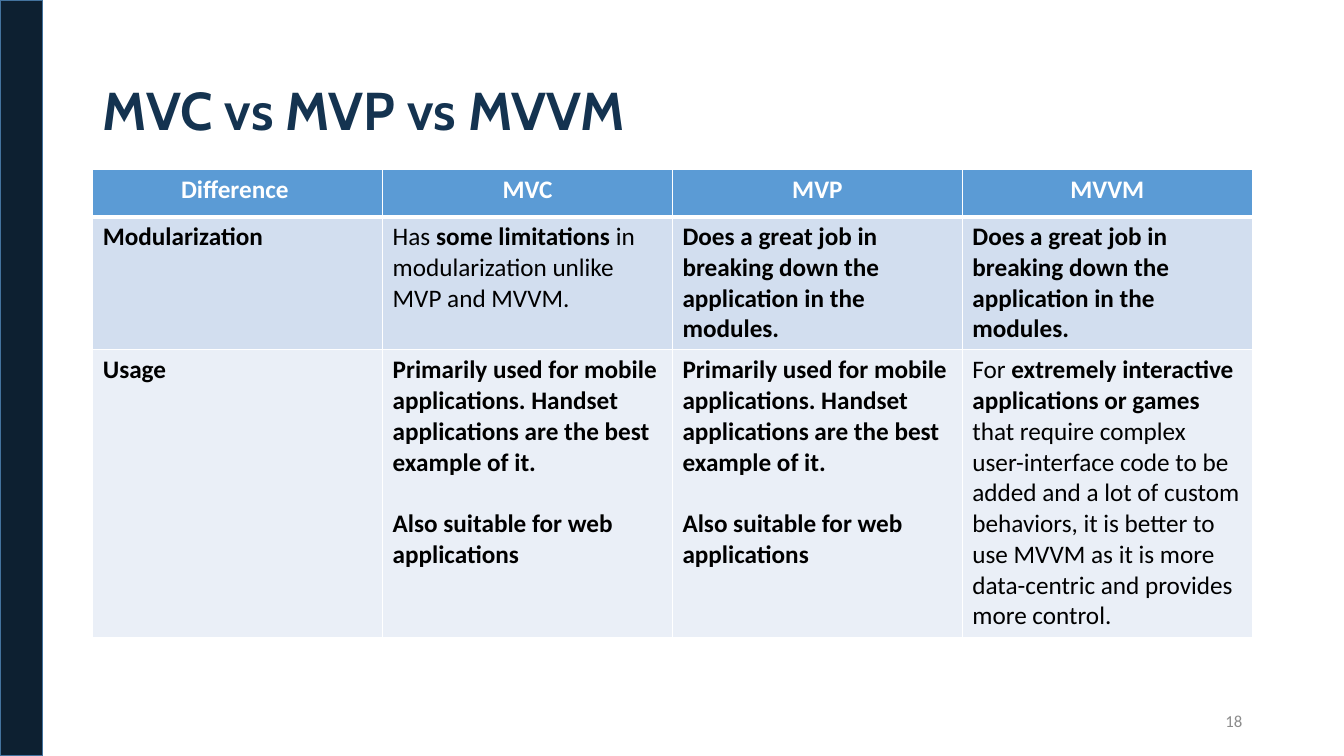
"""Build the slide that compares MVC, MVP and MVVM in a table."""
from lxml import etree
from pptx import Presentation, util as u
from pptx.dml.color import RGBColor
from pptx.enum import shapes, text
from pptx.oxml.ns import qn

THEME = {
    "bar": "0D2031", "bar_line": "43739E", "title": "143350", "number": "8C8C8C",
    "header": "5B9BD5", "bands": ["D2DEEF", "EAEFF7"], "white": "FFFFFF", "black": "000000",
    "title_size": 38, "table_size": 18, "number_size": 12,
    "title_font": "Cabin", "body_font": "Calibri",
}


def add_span(para, words, size, color, font=THEME["body_font"], bold=False):
    span = para.add_run()
    span.text = words
    for name, value in {"name": font, "size": u.Pt(size), "bold": bold}.items():
        setattr(span.font, name, value)
    span.font.color.rgb = RGBColor.from_string(color)


def add_borders(cell, widths):
    properties = cell._tc.get_or_add_tcPr()
    for side, width in widths.items():
        line = etree.SubElement(properties, qn(f"a:ln{side}"), w=str(u.Pt(width)))
        fill = etree.SubElement(line, qn("a:solidFill"))
        etree.SubElement(fill, qn("a:srgbClr"), val=THEME["white"])


deck = Presentation()
deck.slide_width, deck.slide_height = u.Inches(13.33), u.Inches(7.5)
page = deck.slides.add_slide(deck.slide_layouts[5])

bar = page.shapes.add_shape(shapes.MSO_SHAPE.RECTANGLE, 0, 0, u.Inches(0.42), deck.slide_height)
bar.shadow.inherit = False
bar.fill.solid()
bar.fill.fore_color.rgb = RGBColor.from_string(THEME["bar"])
bar.line.color.rgb = RGBColor.from_string(THEME["bar_line"])
bar.line.width = u.Pt(1)

title = page.shapes.title
for name, value in {"left": 0.92, "top": 0.4, "width": 11.5, "height": 1.45}.items():
    setattr(title, name, u.Inches(value))
number = page.shapes.add_textbox(u.Inches(9.42), u.Inches(6.95), u.Inches(3), u.Inches(0.4))
for box in (title, number):
    frame_format = {"word_wrap": True, "auto_size": text.MSO_AUTO_SIZE.NONE,
                    "vertical_anchor": text.MSO_ANCHOR.MIDDLE}
    for name, value in frame_format.items():
        setattr(box.text_frame, name, value)

para = title.text_frame.paragraphs[0]
para.alignment, para.line_spacing = text.PP_ALIGN.LEFT, 0.9
add_span(para, "MVC vs MVP vs MVVM", THEME["title_size"], THEME["title"], THEME["title_font"], True)
para = number.text_frame.paragraphs[0]
para.alignment = text.PP_ALIGN.RIGHT
add_span(para, "18", THEME["number_size"], THEME["number"])

# Each cell lists paragraphs; each paragraph lists (words, bold) spans.
modular = [[("Does a great job in breaking down the application in the modules.", True)]]
mobile = [
    [("Primarily used for mobile applications. Handset applications are the best example of it.", True)],
    [("Also suitable for web applications", True)],
]
limits = [[("Has ", False), ("some limitations ", True),
           ("in modularization unlike MVP and MVVM.", False)]]
interactive = [[
    ("For ", False),
    ("extremely interactive applications or games ", True),
    ("that require complex user-interface code to be added and a lot of custom behaviors, "
     "it is better to use MVVM as it is more data-centric and provides more control.", False),
]]
rows = [
    [[[(heading, True)]] for heading in ("Difference ", "MVC", "MVP", "MVVM")],
    [[[("Modularization", True)]], limits, modular, modular],
    [[[("Usage", True)]], mobile, mobile, interactive],
]
row_heights = [0.47, 1.32, 2.85]

table = page.shapes.add_table(len(rows), len(rows[0]), u.Inches(0.92), u.Inches(1.68),
                              u.Inches(11.5), u.Inches(sum(row_heights))).table
for column in table.columns:
    column.width = u.Inches(11.5 / len(rows[0]))
for row_index, (row, height) in enumerate(zip(rows, row_heights)):
    table.rows[row_index].height = u.Inches(height)
    is_header = row_index == 0
    fill_color = THEME["header"] if is_header else THEME["bands"][row_index - 1]
    text_color = THEME["white"] if is_header else THEME["black"]
    for column_index, paragraphs in enumerate(row):
        cell = table.cell(row_index, column_index)
        add_borders(cell, {"L": 1, "R": 1, "T": 3 if row_index == 1 else 1, "B": 3 if is_header else 1})
        cell.fill.solid()
        cell.fill.fore_color.rgb = RGBColor.from_string(fill_color)
        for index, spans in enumerate(paragraphs):
            para = cell.text_frame.add_paragraph() if index else cell.text_frame.paragraphs[0]
            para.alignment = text.PP_ALIGN.CENTER if is_header else text.PP_ALIGN.LEFT
            para.space_before = u.Pt(22 * index)
            for words, bold in spans:
                add_span(para, words, THEME["table_size"], text_color, bold=bold)

deck.save("out.pptx")
